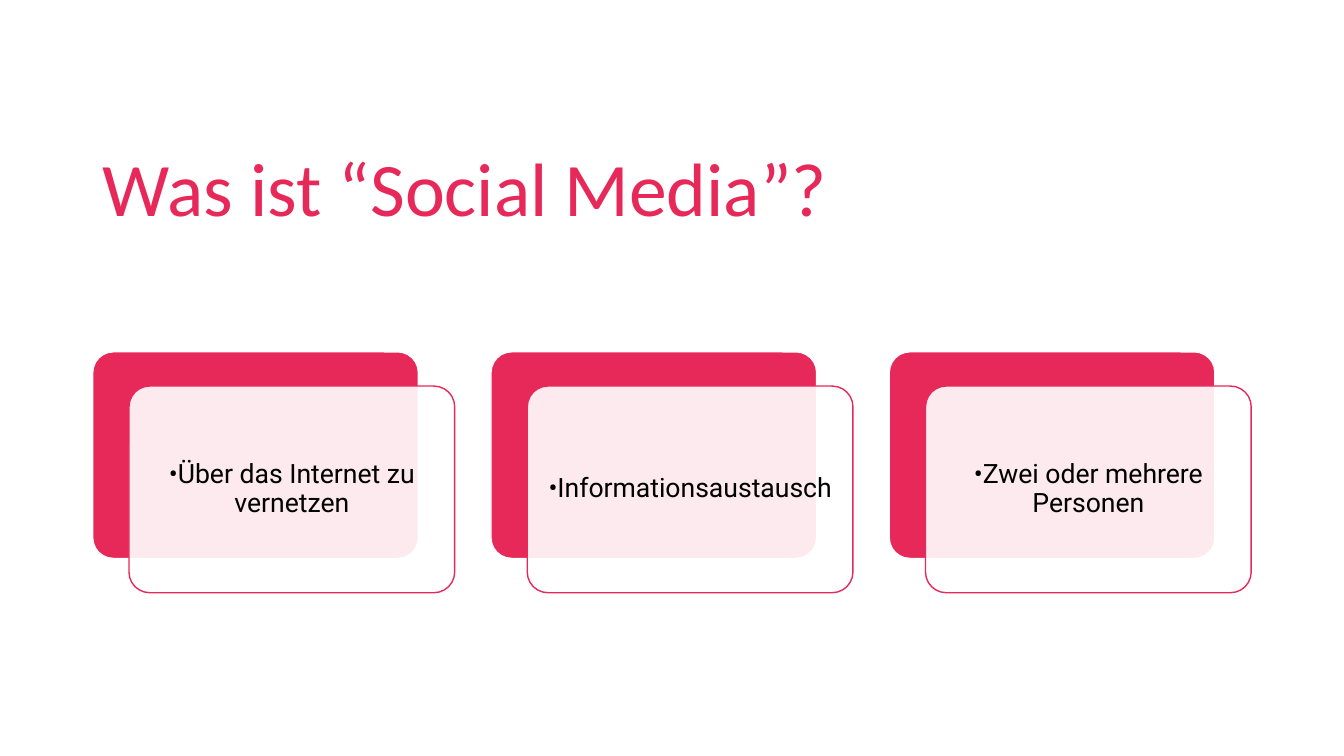
from pptx import Presentation
from pptx.dml.color import RGBColor
from pptx.enum.shapes import MSO_SHAPE
from pptx.enum.text import MSO_ANCHOR, PP_ALIGN
from pptx.oxml.ns import qn
from pptx.util import Inches, Pt
from lxml.etree import SubElement

PINK = RGBColor(0xE7, 0x29, 0x5A)
WHITE = RGBColor(0xFF, 0xFF, 0xFF)
BLACK = RGBColor(0x00, 0x00, 0x00)

CARD_TEXTS = [
    "•Über das Internet zu vernetzen",
    "•Informationsaustausch",
    "•Zwei oder mehrere Personen",
]
CARD_LEFT, CARD_TOP = 0.92, 3.49
CARD_WIDTH, CARD_HEIGHT = 3.23, 2.05
CARD_STEP = 3.95
FRONT_OFFSET_X, FRONT_OFFSET_Y = 0.36, 0.34
TEXT_MARGIN = 0.06


class SlideBuilder:
    title_font = "Calibri"
    body_font = "Roboto"

    def __init__(self, presentation):
        self.slide = presentation.slides.add_slide(presentation.slide_layouts[5])
        self.group = self.slide.shapes.add_group_shape()

    def format_paragraph(self, paragraph, font_name, size, color, alignment):
        paragraph.alignment = alignment
        paragraph.line_spacing = 0.9
        for run in paragraph.runs:
            run.font.name = font_name
            run.font.size = Pt(size)
            run.font.color.rgb = color

    def title(self, text, left, top, width, height):
        title = self.slide.shapes.title
        title.left, title.top = Inches(left), Inches(top)
        title.width, title.height = Inches(width), Inches(height)
        text_frame = title.text_frame
        text_frame.text = text
        text_frame.word_wrap = True
        text_frame.vertical_anchor = MSO_ANCHOR.BOTTOM
        self.format_paragraph(text_frame.paragraphs[0], self.title_font, 54, PINK, PP_ALIGN.LEFT)

    def panel(self, left, top, fill, line, opacity=100):
        shape = self.group.shapes.add_shape(
            MSO_SHAPE.ROUNDED_RECTANGLE,
            Inches(left), Inches(top), Inches(CARD_WIDTH), Inches(CARD_HEIGHT),
        )
        shape.adjustments[0] = 0.1
        shape.shadow.inherit = False
        shape.fill.solid()
        shape.fill.fore_color.rgb = fill
        shape.line.color.rgb = line
        shape.line.width = Pt(1)
        if opacity < 100:
            color = shape.fill._xPr.find(qn("a:solidFill"))[0]
            SubElement(color, qn("a:alpha")).set("val", str(opacity * 1000))

    def label(self, text, left, top, width, height):
        box = self.group.shapes.add_textbox(
            Inches(left), Inches(top), Inches(width), Inches(height)
        )
        text_frame = box.text_frame
        text_frame.text = text
        text_frame.word_wrap = True
        text_frame.vertical_anchor = MSO_ANCHOR.MIDDLE
        text_frame.margin_left = text_frame.margin_right = Inches(0.08)
        text_frame.margin_top = text_frame.margin_bottom = Inches(0.08)
        self.format_paragraph(text_frame.paragraphs[0], self.body_font, 19, BLACK, PP_ALIGN.CENTER)

    def card(self, text, left, top):
        front_left, front_top = left + FRONT_OFFSET_X, top + FRONT_OFFSET_Y
        self.panel(left, top, PINK, WHITE)
        self.panel(front_left, front_top, WHITE, PINK, opacity=90)
        self.label(
            text, front_left + TEXT_MARGIN, front_top + TEXT_MARGIN,
            CARD_WIDTH - 2 * TEXT_MARGIN, CARD_HEIGHT - 2 * TEXT_MARGIN,
        )


def main():
    presentation = Presentation()
    presentation.slide_width = Inches(13.33)
    presentation.slide_height = Inches(7.5)
    builder = SlideBuilder(presentation)
    builder.title("Was ist “Social Media”?", 0.92, 0.4, 11.5, 1.96)
    for index, text in enumerate(CARD_TEXTS):
        builder.card(text, CARD_LEFT + index * CARD_STEP, CARD_TOP)
    presentation.save("out.pptx")


if __name__ == "__main__":
    main()
